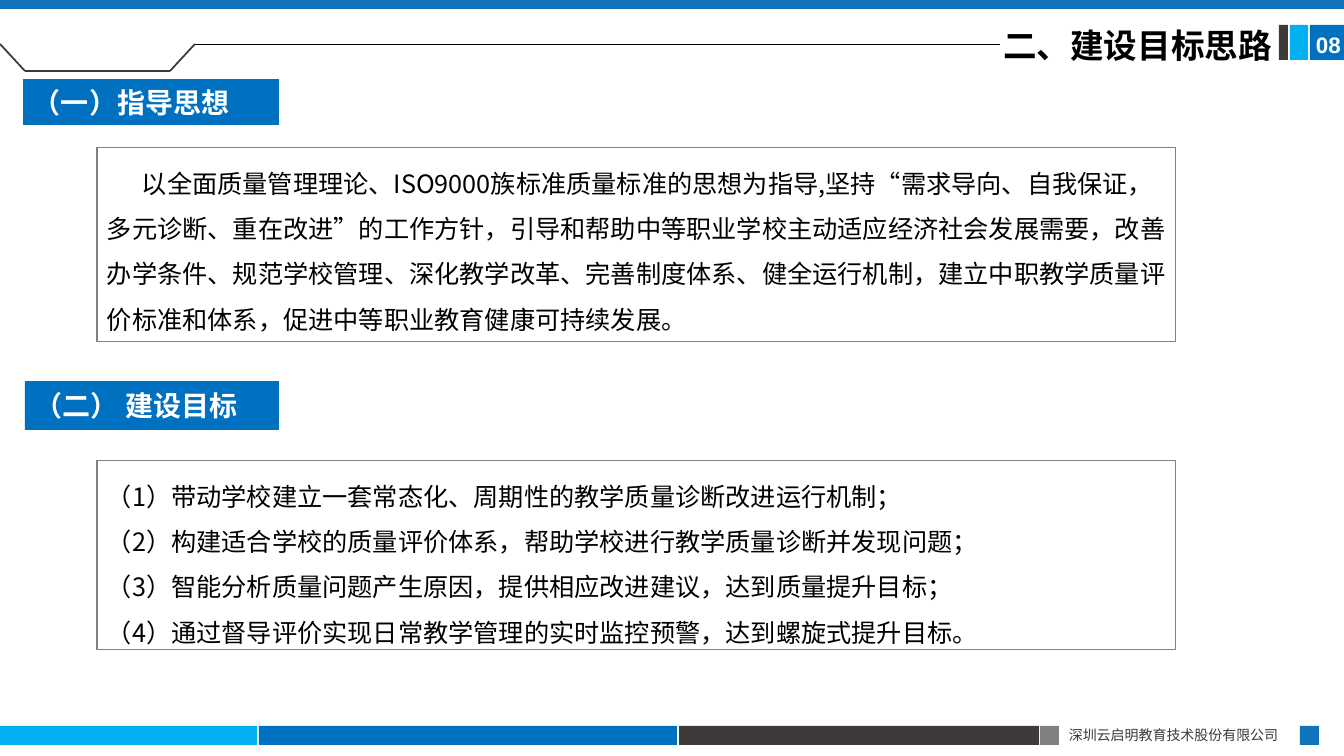
import pptx
import pptx.util
import pptx.dml.color
import pptx.enum.shapes
import pptx.enum.text
import pptx.oxml
import pptx.oxml.ns
from lxml import etree

RGBColor = pptx.dml.color.RGBColor
ANCHOR = pptx.enum.text.MSO_ANCHOR
ALIGN = pptx.enum.text.PP_ALIGN
BLUE = RGBColor(0x00, 0x70, 0xC0)
BAND_BLUE = RGBColor(0x10, 0x74, 0xBB)
CYAN = RGBColor(0x00, 0xB0, 0xF0)
DARK = RGBColor(0x3E, 0x3A, 0x39)
GREY = RGBColor(0x80, 0x80, 0x80)
BLACK = RGBColor(0, 0, 0)
WHITE = RGBColor(0xFF, 0xFF, 0xFF)
SANS = "Noto Sans CJK SC"

GUIDING_IDEA = [
    "以全面质量管理理论、ISO9000族标准质量标准的思想为指导,坚持“需求导向、自我保证，"
    "多元诊断、重在改进”的工作方针，引导和帮助中等职业学校主动适应经济社会发展需要，"
    "改善办学条件、规范学校管理、深化教学改革、完善制度体系、健全运行机制，"
    "建立中职教学质量评价标准和体系，促进中等职业教育健康可持续发展。",
]
GOALS = [
    "（1）带动学校建立一套常态化、周期性的教学质量诊断改进运行机制；",
    "（2）构建适合学校的质量评价体系，帮助学校进行教学质量诊断并发现问题；",
    "（3）智能分析质量问题产生原因，提供相应改进建议，达到质量提升目标；",
    "（4）通过督导评价实现日常教学管理的实时监控预警，达到螺旋式提升目标。",
]


def px(n):
    return pptx.util.Emu(round(n * 914400 / 100.8))


def add_rect(s, box, fill=None, line=None):
    sp = s.shapes.add_shape(pptx.enum.shapes.MSO_SHAPE.RECTANGLE, *map(px, box))
    sp.shadow.inherit = False
    if fill is None:
        sp.fill.background()
    else:
        sp.fill.solid()
        sp.fill.fore_color.rgb = fill
    if line is None:
        sp.line.fill.background()
    else:
        sp.line.color.rgb = line
        sp.line.width = pptx.util.Pt(0.75)
    return sp


def add_line(s, start, end, color, width):
    c = s.shapes.add_connector(pptx.enum.shapes.MSO_CONNECTOR.STRAIGHT,
                               *map(px, start + end))
    c.line.color.rgb = color
    c.line.width = pptx.util.Pt(width)
    etree.SubElement(c._element.spPr, pptx.oxml.ns.qn("a:effectLst"))


def write(sp, lines, size, color, font=SANS, bold=False, anchor=ANCHOR.TOP,
          spacing=None, indent=0):
    tf = sp.text_frame
    tf.word_wrap = True
    tf.vertical_anchor = anchor
    for i, text in enumerate(lines):
        p = tf.paragraphs[0] if i == 0 else tf.add_paragraph()
        p.text = text
        p.alignment = ALIGN.LEFT
        p.line_spacing = spacing
        if indent:
            p._p.get_or_add_pPr().set("indent", str(px(indent)))
        f = p.font
        f.name, f.size, f.bold = font, pptx.util.Pt(size), bold
        f.color.rgb = color
        ea = etree.SubElement(f._element, pptx.oxml.ns.qn("a:ea"))
        ea.set("typeface", SANS)


def add_header(s, x, y, w):
    add_rect(s, (x, y, w, 9), BAND_BLUE)
    rule_y, tab_y = y + 44, y + 71
    tab = [(x, rule_y), (x + 25, tab_y), (x + 170, tab_y), (x + 195, rule_y)]
    for start, end in zip(tab, tab[1:]):
        add_line(s, start, end, DARK, 1.25)
    add_line(s, tab[-1], (x + 1000, rule_y), BLACK, 0.5)

    for left, width, color in ((1279, 9, DARK), (1290, 18, CYAN), (1310, 34, BLUE)):
        add_rect(s, (x + left, y + 25, width, 35), color)
    number = s.shapes.add_textbox(*map(px, (x + 1316, y + 26, 28, 37)))
    number.text_frame.margin_left = number.text_frame.margin_right = 0
    write(number, ["08"], 16, WHITE, "Arial", True)

    title = s.shapes.title
    title.left, title.top, title.width, title.height = map(
        px, (x + 993, y + 24, 336, 47))
    write(title, ["二、建设目标思路"], 24, BLACK, bold=True,
          anchor=ANCHOR.MIDDLE, spacing=0.9)


def add_section(s, label_box, heading, body_box, lines, indent=0):
    label = add_rect(s, label_box, BLUE)
    write(label, [heading], 20, WHITE, "Calibri", True, ANCHOR.MIDDLE)
    body = add_rect(s, body_box, line=GREY)
    write(body, lines, 18, BLACK, spacing=1.5, indent=indent)


def add_footer(s, x, y):
    for left, width, color in ((0, 257, CYAN), (259, 418, BLUE), (679, 360, DARK),
                               (1040, 19, GREY), (1300, 19, BAND_BLUE)):
        add_rect(s, (x + left, y, width, 19), color)
    company = s.shapes.add_textbox(*map(px, (x + 1059, y - 4, 242, 27)))
    write(company, ["深圳云启明教育技术股份有限公司"], 10, DARK)


def main():
    prs = pptx.Presentation()
    prs.slide_width, prs.slide_height = px(1344), px(756)
    s = prs.slides.add_slide(prs.slide_layouts[5])
    add_footer(s, 0, 726)
    add_header(s, 0, 0, 1344)
    add_section(s, (23, 79, 256, 46), "（一）指导思想",
                (97, 148, 1079, 194), GUIDING_IDEA, indent=35)
    add_section(s, (25, 381, 254, 49), "（二） 建设目标",
                (97, 461, 1079, 189), GOALS)
    prs.save("out.pptx")


if __name__ == "__main__":
    main()
